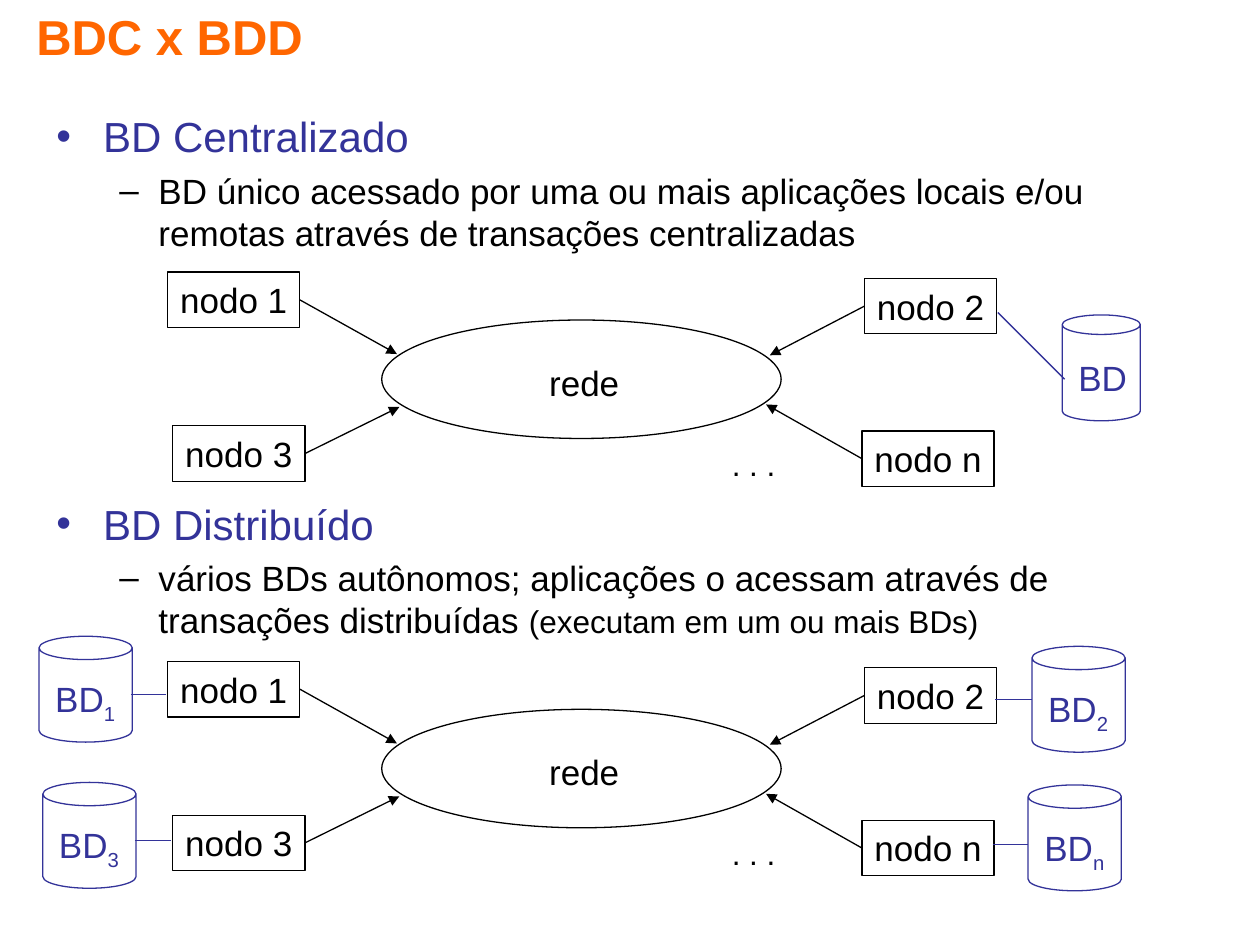
"""Builds a slide comparing centralized and distributed databases."""
from lxml.etree import SubElement
from pptx import Presentation
from pptx.dml.color import RGBColor
from pptx.enum.shapes import MSO_CONNECTOR, MSO_SHAPE
from pptx.oxml.ns import qn
from pptx.util import Inches, Pt

COLORS = {"title": "FF6600", "blue": "333399", "black": "000000"}
STEP = 3.09
NODES = [
    ("nodo 1", 1.33, 2.16, 3, (3.15, 2.81)),
    ("nodo 2", 6.86, 2.21, 1, (6.11, 2.82)),
    ("nodo 3", 1.37, 3.38, 3, (3.17, 3.23)),
    ("nodo n", 6.84, 3.42, 1, (6.08, 3.21)),
]
STORES = [
    ("1", 0.31, 5.05, 1.04, 1.32, 5.51),
    ("2", 8.19, 5.13, 7.9, 8.19, 5.55),
    ("3", 0.34, 6.21, 1.07, 1.36, 6.67),
    ("n", 8.16, 6.23, 7.88, 8.16, 6.7),
]


def color(name):
    """Return a named color."""
    return RGBColor.from_string(COLORS[name])


def style(para, size, tone, bold=False):
    """Set the font of a paragraph."""
    font = para.font
    font.name, font.size, font.bold = "Arial", Pt(size), bold
    font.color.rgb = color(tone)


def label(slide, box, text, size=20, tone="black", bold=False):
    """Add a one-line text box and return its paragraph."""
    frame = slide.shapes.add_textbox(*map(Inches, box)).text_frame
    frame.word_wrap = False
    frame.margin_right = 0
    para = frame.paragraphs[0]
    para.text = text
    style(para, size, tone, bold)
    return para


def outline(slide, kind, box, tone="black"):
    """Add an unfilled preset shape."""
    shape = slide.shapes.add_shape(kind, *map(Inches, box))
    shape.shadow.inherit = False
    shape.fill.background()
    shape.line.color.rgb = color(tone)
    shape.line.width = Pt(0.75)
    return shape


def link(slide, start, end, tone="black", arrow=False):
    """Add a straight line, with an optional arrowhead at its start."""
    line = slide.shapes.add_connector(
        MSO_CONNECTOR.STRAIGHT, *map(Inches, start + end))
    line.line.color.rgb = color(tone)
    line.line.width = Pt(0.75)
    props = line._element.spPr
    if arrow:
        SubElement(props.find(qn("a:ln")), qn("a:headEnd"), type="triangle")
    SubElement(props, qn("a:effectLst"))
    return line


def node(slide, text, x, y):
    """Add a node box with its name."""
    shape = outline(slide, MSO_SHAPE.RECTANGLE, (x, y, 1.05, 0.44))
    frame = shape.text_frame
    frame.word_wrap = False
    para = frame.paragraphs[0]
    para.text = text
    style(para, 20, "black")
    return shape


def store(slide, x, y, width, sub=""):
    """Add a database can with its name and subscript."""
    outline(slide, MSO_SHAPE.CAN, (x, y, width, 0.84), "blue")
    box = (x + 0.03, y + 0.28, width - 0.04, 0.44)
    para = label(slide, box, "BD", tone="blue")
    if sub:
        run = para.add_run()
        run.text = sub
        run._r.get_or_add_rPr().set("baseline", "-25000")


def network(slide, drop):
    """Add a network with four nodes, moved down by drop."""
    outline(slide, MSO_SHAPE.OVAL, (3.03, 2.54 + drop, 3.17, 0.94))
    label(slide, (4.26, 2.82 + drop, 0.75, 0.44), "rede")
    label(slide, (5.71, 3.48 + drop, 0.54, 0.4), ". . .", 18)
    for text, x, y, side, (tip, top) in NODES:
        shape = node(slide, text, x, y + drop)
        start = (tip, top + drop)
        link(slide, start, (x, y + drop), arrow=True).end_connect(shape, side)


def bullet(para, mark, left, hang, size, tone, before):
    """Style a paragraph as a bulleted item."""
    style(para, size, tone)
    para.space_before = Pt(before)
    props = para._p.get_or_add_pPr()
    props.set("marL", str(Inches(left)))
    props.set("indent", str(-Inches(hang)))
    SubElement(props, qn("a:buFont"), typeface="Arial")
    SubElement(props, qn("a:buChar"), char=mark)


def body(slide):
    """Add the two headings with their definitions."""
    items = [
        ("BD Centralizado", 6,
         "BD único acessado por uma ou mais aplicações locais e/ou "
         "remotas através de transações centralizadas", 5, ""),
        ("BD Distribuído", 139.5,
         "vários BDs autônomos; aplicações o acessam através de "
         "transações distribuídas ", 4.5, "(executam em um ou mais BDs)"),
    ]
    frame = slide.shapes.add_textbox(
        *map(Inches, (0.35, 0.83, 9.4, 6.31))).text_frame
    frame.word_wrap = True
    para = frame.paragraphs[0]
    for head, gap, text, space, note in items:
        if para.text:
            para = frame.add_paragraph()
        para.text = head
        bullet(para, "•", 0.37, 0.37, 24, "blue", gap)
        para = frame.add_paragraph()
        para.level = 1
        para.text = text
        bullet(para, "–", 0.81, 0.31, 20, "black", space)
        if note:
            run = para.add_run()
            run.text = note
            run.font.size = Pt(18)


def main():
    """Build and save the slide."""
    deck = Presentation()
    deck.slide_width, deck.slide_height = Inches(10), Inches(7.5)
    slide = deck.slides.add_slide(deck.slide_layouts[6])
    label(slide, (0.19, 0, 8.5, 1.25), "BDC x BDD", 28, "title", True)
    body(slide)
    for drop in (0, STEP):
        network(slide, drop)
    store(slide, 8.43, 2.5, 0.62)
    link(slide, (7.92, 2.48), (8.45, 3.01), "blue")
    for sub, x, y, left, right, level in STORES:
        store(slide, x, y, 0.74, sub)
        link(slide, (left, level), (right, level), "blue")
    deck.save("out.pptx")


if __name__ == "__main__":
    main()
